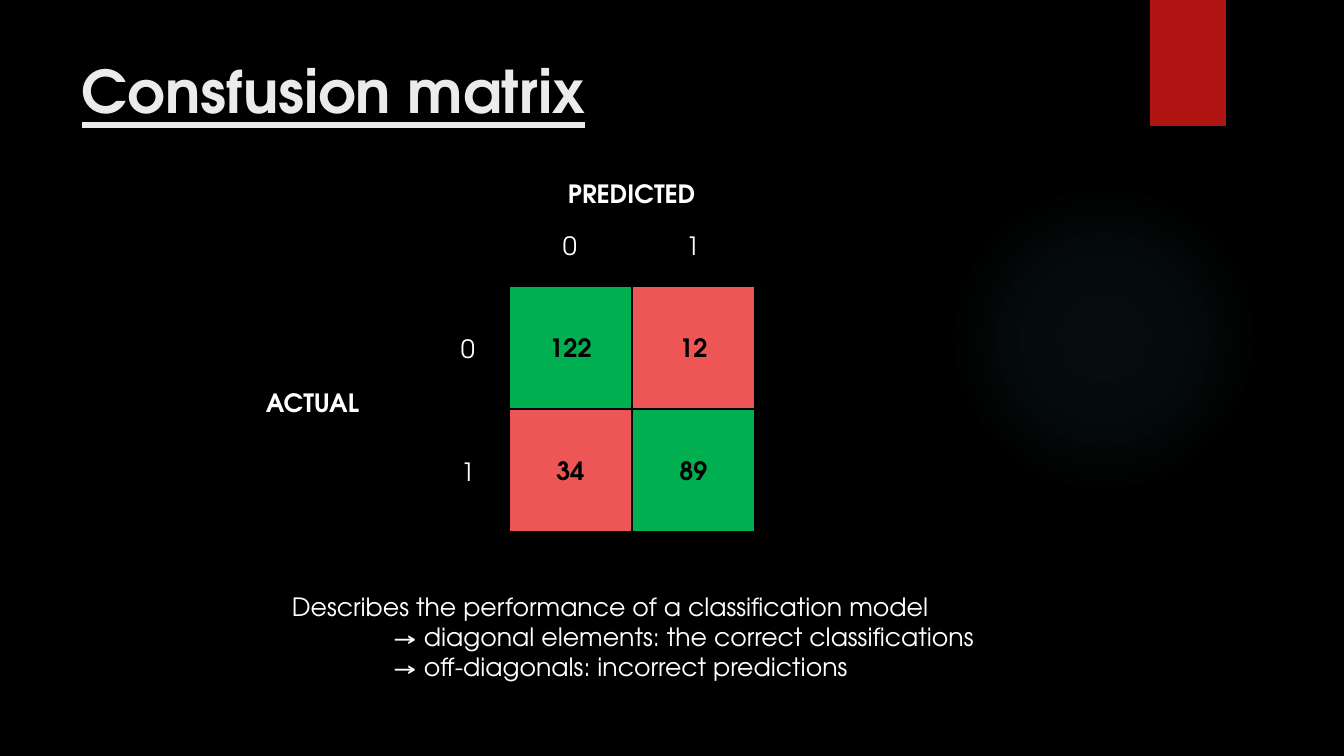
"""Build the confusion matrix slide."""
import pptx
import pptx.dml.color
import pptx.enum.shapes
import pptx.enum.text
import pptx.oxml
import pptx.oxml.ns
import pptx.util

TITLE = "Consfusion matrix"
MATRIX = [[122, 12], [34, 89]]
CLASSES = ["0", "1"]
AXIS_TITLES = [("PREDICTED", (558, 173, 153, 40)), ("ACTUAL", (256, 382, 116, 40))]
NOTES = [
    ("Describes the performance of a classification model", 0),
    ("→ diagonal elements: the correct classifications", 101),
    ("→ off-diagonals: incorrect predictions", 101),
]
COLORS = {
    "background": "000000",
    "ribbon": "B01513",
    "glow": "50B9C1",
    "title": "EBEBEB",
    "label": "FFFFFF",
    "correct": "00B050",
    "wrong": "ED5654",
    "ink": "000000",
}
GLOW_STOPS = [(0, 7), (36, 6), (69, 0)]
FONT = "TeX Gyre Adventor"
PX = 914400 / 100.8
CELL = 123
GRID_LEFT, GRID_TOP = 509, 286
LABEL_WIDTH, LABEL_HEIGHT = 34, 40


def px(length):
    return pptx.util.Emu(round(length * PX))


def color(name):
    return pptx.dml.color.RGBColor.from_string(COLORS[name])


def add_span(para, text, tone, size=18, bold=False, underline=False):
    span = para.add_run()
    span.text = text
    span.font.name = FONT
    span.font.size = pptx.util.Pt(size)
    span.font.bold = bold
    span.font.underline = underline
    span.font.color.rgb = color(tone)


def add_box(page, area, wrap=False):
    box = page.shapes.add_textbox(*map(px, area))
    box.text_frame.word_wrap = wrap
    return box.text_frame


def add_label(page, text, area, bold=False):
    add_span(add_box(page, area).paragraphs[0], text, "label", bold=bold)


def add_block(page, kind, area, tone):
    block = page.shapes.add_shape(kind, *map(px, area))
    block.shadow.inherit = False
    block.fill.solid()
    block.fill.fore_color.rgb = color(tone)
    block.line.fill.background()
    return block


def add_glow(page):
    oval = pptx.enum.shapes.MSO_SHAPE.OVAL
    glow = add_block(page, oval, (949, 184, 310, 310), "glow")
    stops = "".join(
        f'<a:gs pos="{place * 1000}"><a:srgbClr val="{COLORS["glow"]}">'
        f'<a:alpha val="{alpha * 1000}"/></a:srgbClr></a:gs>'
        for place, alpha in GLOW_STOPS
    )
    gradient = pptx.oxml.parse_xml(
        f'<a:gradFill {pptx.oxml.ns.nsdecls("a")}><a:gsLst>{stops}</a:gsLst>'
        '<a:path path="circle"><a:fillToRect l="50000" t="50000" r="50000" b="50000"/>'
        "</a:path></a:gradFill>"
    )
    properties = glow._element.spPr
    solid = properties.find(pptx.oxml.ns.qn("a:solidFill"))
    properties.replace(solid, gradient)


def add_cell(page, row, column, value):
    area = (GRID_LEFT + column * CELL, GRID_TOP + row * CELL, CELL, CELL)
    tone = "correct" if row == column else "wrong"
    cell = add_block(page, pptx.enum.shapes.MSO_SHAPE.RECTANGLE, area, tone)
    cell.line.color.rgb = color("ink")
    cell.line.width = pptx.util.Pt(1.5)
    cell.text_frame.vertical_anchor = pptx.enum.text.MSO_ANCHOR.MIDDLE
    para = cell.text_frame.paragraphs[0]
    para.alignment = pptx.enum.text.PP_ALIGN.CENTER
    add_span(para, str(value), "ink", bold=True)


def add_notes(page):
    frame = add_box(page, (282, 586, 712, 102))
    for index, (text, indent) in enumerate(NOTES):
        para = frame.add_paragraph() if index else frame.paragraphs[0]
        if indent:
            para._p.get_or_add_pPr().set("marL", str(px(indent)))
        add_span(para, text, "label")


def main():
    deck = pptx.Presentation()
    deck.slide_width, deck.slide_height = px(1344), px(756)
    page = deck.slides.add_slide(deck.slide_layouts[6])
    page.background.fill.solid()
    page.background.fill.fore_color.rgb = color("background")

    add_glow(page)
    add_block(page, pptx.enum.shapes.MSO_SHAPE.RECTANGLE, (1150, 0, 76, 126), "ribbon")
    title = add_box(page, (72, 50, 1037, 154), wrap=True)
    add_span(title.paragraphs[0], TITLE, "title", 42, bold=True, underline=True)

    for row, values in enumerate(MATRIX):
        for column, value in enumerate(values):
            add_cell(page, row, column, value)
    for index, name in enumerate(CLASSES):
        shift = index * CELL
        add_label(page, name, (553 + shift, 225, LABEL_WIDTH, LABEL_HEIGHT))
        add_label(page, name, (451, 328 + shift, LABEL_WIDTH, LABEL_HEIGHT))
    for name, area in AXIS_TITLES:
        add_label(page, name, area, bold=True)
    add_notes(page)
    deck.save("out.pptx")


if __name__ == "__main__":
    main()
